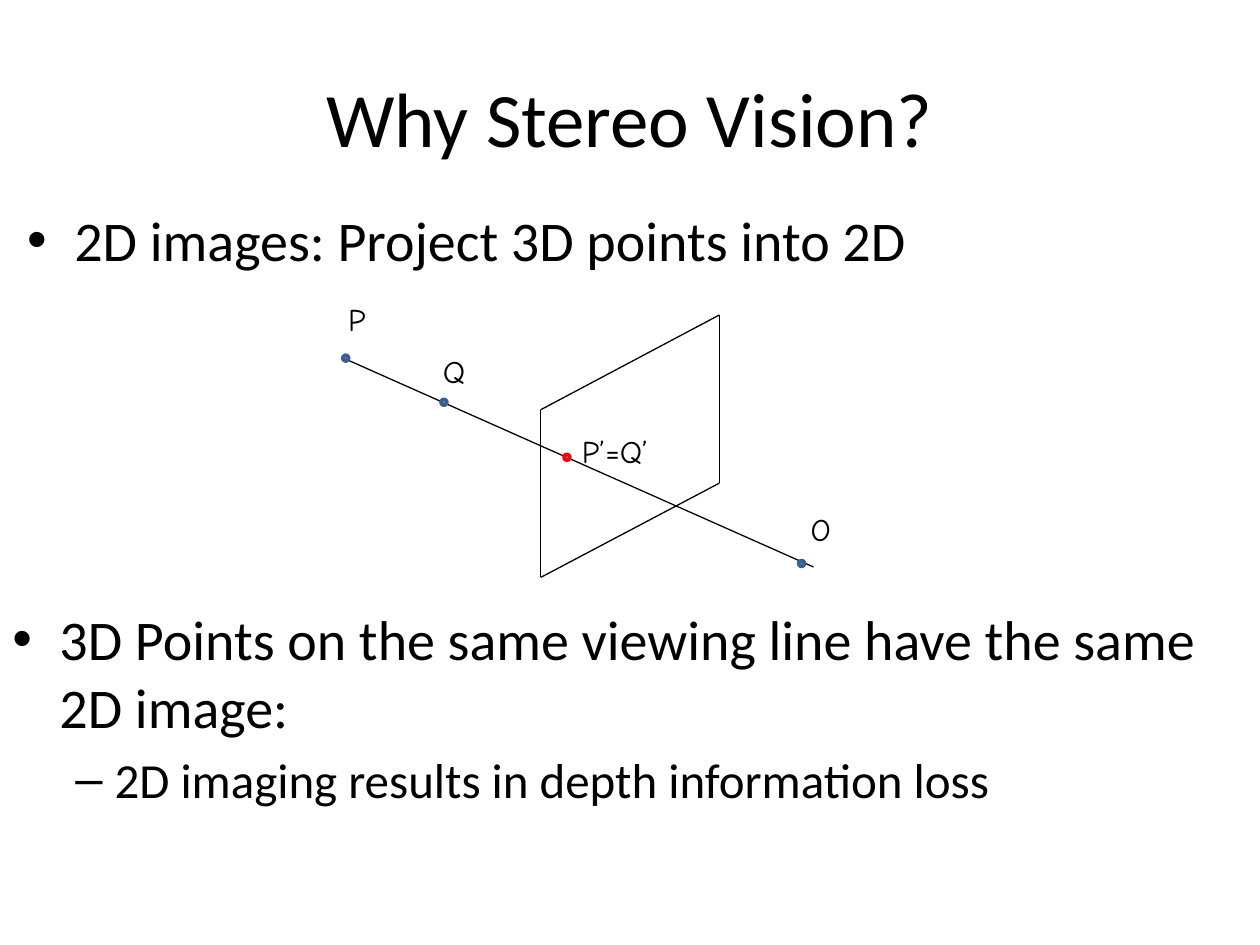
from lxml import etree
from pptx import Presentation
from pptx.dml.color import RGBColor
from pptx.enum.shapes import MSO_CONNECTOR, MSO_SHAPE
from pptx.enum.text import MSO_ANCHOR, PP_ALIGN
from pptx.oxml.ns import qn
from pptx.util import Cm, Pt

LINE, OVAL = MSO_CONNECTOR.STRAIGHT, MSO_SHAPE.OVAL
TOP, MIDDLE = MSO_ANCHOR.TOP, MSO_ANCHOR.MIDDLE
LEFT, CENTER = PP_ALIGN.LEFT, PP_ALIGN.CENTER
BODY, HAND = "Calibri", "Comic Neue"
BLACK, BLUE, NAVY, RED = "000000", "4F81BD", "3A5F8C", "FF0000"

# Content: all places in cm
TITLE = ("Why Stereo Vision?", (1.27, 0.76, 22.86, 3.18))

# Paragraphs: text, size, bullet, left margin, hanging indent, space before (pt)
BULLETS = [
    ((0.3, 4.01, 24.77, 1.91), [
        ("2D images: Project 3D points into 2D", 32, "•", 0.95, 0.95, 0)]),
    ((0, 12.07, 24.77, 3.18), [
        ("3D Points on the same viewing line have the same 2D image:",
         32, "•", 0.95, 0.95, 0),
        ("2D imaging results in depth information loss",
         28, "–", 2.06, 0.79, 5.6)]),
]

IMAGE_PLANE = [(10.9, 11.64), (14.5, 9.74), (14.5, 6.35), (10.9, 8.26)]
VIEWING_LINE = [(16.4, 11.43), (6.88, 7.2)]

LABELS = [  # text, left, top, width
    ("O", 16.09, 10.16, 1.18),
    ("P’=Q’", 11.48, 8.58, 2.44),
    ("P", 6.77, 5.93, 0.97),
    ("Q", 8.68, 6.97, 1.24),
]
LABEL_HEIGHT = 1.27

POINTS = [  # centre x, centre y, outline
    (6.97, 7.22, NAVY),
    (8.95, 8.11, NAVY),
    (11.43, 9.22, RED),
    (16.16, 11.36, NAVY),
]
POINT_SIZE = 0.12


def rgb(value):
    return RGBColor.from_string(value)


def add_box(box, anchor=TOP, wrap=True):
    tf = s.shapes.add_textbox(*map(Cm, box)).text_frame
    tf.word_wrap = wrap
    tf.vertical_anchor = anchor
    return tf


def write(p, text, size=18, font=BODY, color=BLACK, align=LEFT,
          bullet=None, margin=0, hanging=0, before=0):
    p.alignment = align
    p.space_before = Pt(before)
    if bullet:
        pPr = p._p.get_or_add_pPr()
        pPr.set("marL", str(Cm(margin)))
        pPr.set("indent", str(-Cm(hanging)))
        etree.SubElement(pPr, qn("a:buFont"), typeface="Arial")
        etree.SubElement(pPr, qn("a:buChar"), char=bullet)
    r = p.add_run()
    r.text = text
    r.font.size, r.font.name = Pt(size), font
    r.font.color.rgb = rgb(color)


def add_line(start, end):
    c = s.shapes.add_connector(LINE, *map(Cm, start + end))
    c.line.color.rgb = rgb(BLACK)
    c.line.width = Pt(0.75)
    etree.SubElement(c._element.spPr, qn("a:effectLst"))


prs = Presentation()
prs.slide_width, prs.slide_height = Cm(25.4), Cm(19.05)
s = prs.slides.add_slide(prs.slide_layouts[6])

# Title
text, box = TITLE
write(add_box(box, MIDDLE).paragraphs[0], text, size=44, align=CENTER)

# Bulleted text
for box, items in BULLETS:
    tf = add_box(box)
    for i, (text, size, bullet, margin, hanging, before) in enumerate(items):
        p = tf.add_paragraph() if i else tf.paragraphs[0]
        write(p, text, size=size, bullet=bullet, margin=margin,
              hanging=hanging, before=before)

# Image plane and viewing line
for start, end in zip(IMAGE_PLANE, IMAGE_PLANE[1:] + IMAGE_PLANE[:1]):
    add_line(start, end)
add_line(*VIEWING_LINE)

# Point labels
for text, left, top, width in LABELS:
    tf = add_box((left, top, width, LABEL_HEIGHT), wrap=False)
    write(tf.paragraphs[0], text, font=HAND)

# Points
for x, y, outline in POINTS:
    sp = s.shapes.add_shape(OVAL, Cm(x - POINT_SIZE / 2), Cm(y - POINT_SIZE / 2),
                            Cm(POINT_SIZE), Cm(POINT_SIZE))
    sp.shadow.inherit = False
    sp.fill.solid()
    sp.fill.fore_color.rgb = rgb(BLUE)
    sp.line.color.rgb = rgb(outline)
    sp.line.width = Pt(2)

prs.save("out.pptx")
